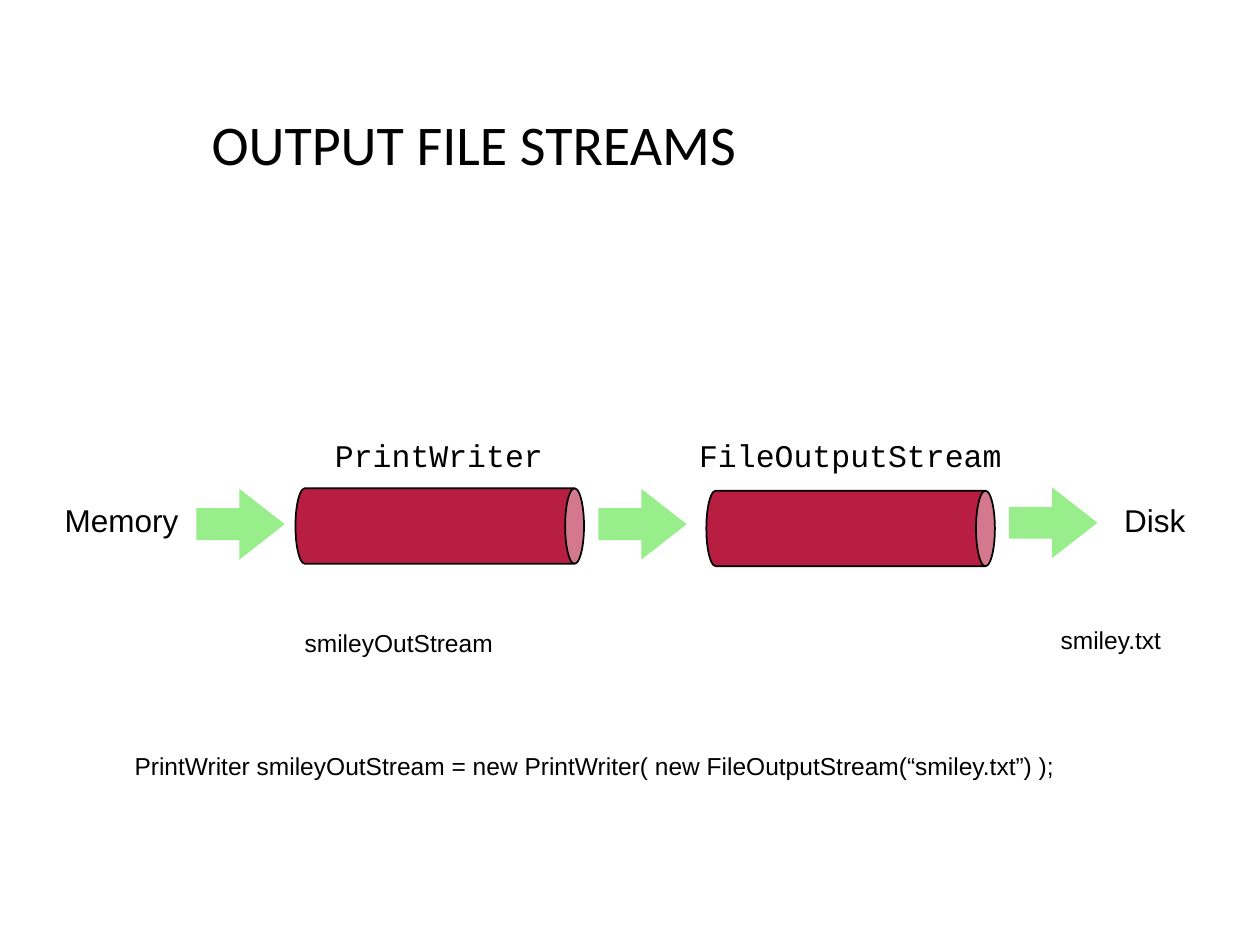
from lxml import etree
from pptx import Presentation
from pptx.dml.color import RGBColor
from pptx.enum import shapes, text
from pptx.util import Pt

COLORS = {"text": "000000", "pipe": "B71E42", "outline": "000000", "arrow": "98EE8A"}
PIPE_W, PIPE_H = 164.9, 43.2
ARROW_W, ARROW_H = 50.4, 40.3


def rgb(name):
    return RGBColor.from_string(COLORS[name])


def add_label(s, words, x, y, w, h, size=18, font="Arial", spacing=0.8,
              align=text.PP_ALIGN.LEFT, anchor=text.MSO_ANCHOR.TOP, inset=7.2):
    tf = s.shapes.add_textbox(Pt(x), Pt(y), Pt(w), Pt(h)).text_frame
    tf.word_wrap = True
    tf.vertical_anchor = anchor
    tf.margin_left = tf.margin_right = Pt(inset)
    p = tf.paragraphs[0]
    p.alignment = align
    p.line_spacing = spacing
    r = p.add_run()
    r.text = words
    r.font.size = Pt(size)
    r.font.name = font
    r.font.color.rgb = rgb("text")


def add_preset(s, kind, x, y, w, h, fill, adjustments):
    sp = s.shapes.add_shape(kind, Pt(x), Pt(y), Pt(w), Pt(h))
    sp.shadow.inherit = False
    sp.fill.solid()
    sp.fill.fore_color.rgb = rgb(fill)
    sp.line.fill.background()
    for i, value in enumerate(adjustments):
        sp.adjustments[i] = value
    return sp


def add_pipe(s, x, y):
    shift = (PIPE_W - PIPE_H) / 2
    sp = add_preset(s, shapes.MSO_SHAPE.CAN, x + shift, y - shift,
                    PIPE_H, PIPE_W, "pipe", [0.25])
    sp.rotation = 90
    sp.line.color.rgb = rgb("outline")
    sp.line.width = Pt(1)


def add_title(s, x, y, w, h):
    add_label(s, "OUTPUT FILE STREAMS", x, y, w, h, size=32, font="Calibri", spacing=0.9)


def add_stream_flow(s, x, y, w, h):
    for dx, dy in [(137.8, 29.2), (372.6, 30.6)]:
        add_pipe(s, x + dx, y + dy)
    for dx, dy in [(81.3, 29.6), (311, 29.6), (545.7, 28.8)]:
        add_preset(s, shapes.MSO_SHAPE.RIGHT_ARROW, x + dx, y + dy,
                   ARROW_W, ARROW_H, "arrow", [0.452, 0.64])
    for name, dx, width in [("PrintWriter", 153.3, 164.2), ("FileOutputStream", 361.4, 205.9)]:
        add_label(s, name, x + dx, y, width, 24.5, font="Courier New")
    end_w, end_h = 77, 31
    for name, left in [("Memory", x), ("Disk", x + w - end_w)]:
        add_label(s, name, left, y + h - end_h, end_w, end_h, inset=0,
                  align=text.PP_ALIGN.CENTER, anchor=text.MSO_ANCHOR.MIDDLE)


def add_code_notes(s, x, y, w, h):
    notes = [
        ("smileyOutStream", 97.2, 1.2, 175.7),
        ("smiley.txt", 529.2, 0, 126.7),
        ("PrintWriter smileyOutStream = new PrintWriter( new FileOutputStream(“smiley.txt”) );",
         0, h - 20.2, 596.2),
    ]
    for words, dx, dy, width in notes:
        add_label(s, words, x + dx, y + dy, width, 20.2, size=14)


def main():
    prs = Presentation()
    prs.slide_width, prs.slide_height = Pt(720), Pt(540)
    s = prs.slides.add_slide(prs.slide_layouts[6])
    add_title(s, 113.8, 63.4, 517.7, 82.8)
    add_stream_flow(s, 31, 249.8, 667.4, 64.9)
    add_code_notes(s, 69.8, 357.1, 655.9, 92.2)
    prs.save("out.pptx")


if __name__ == "__main__":
    main()
